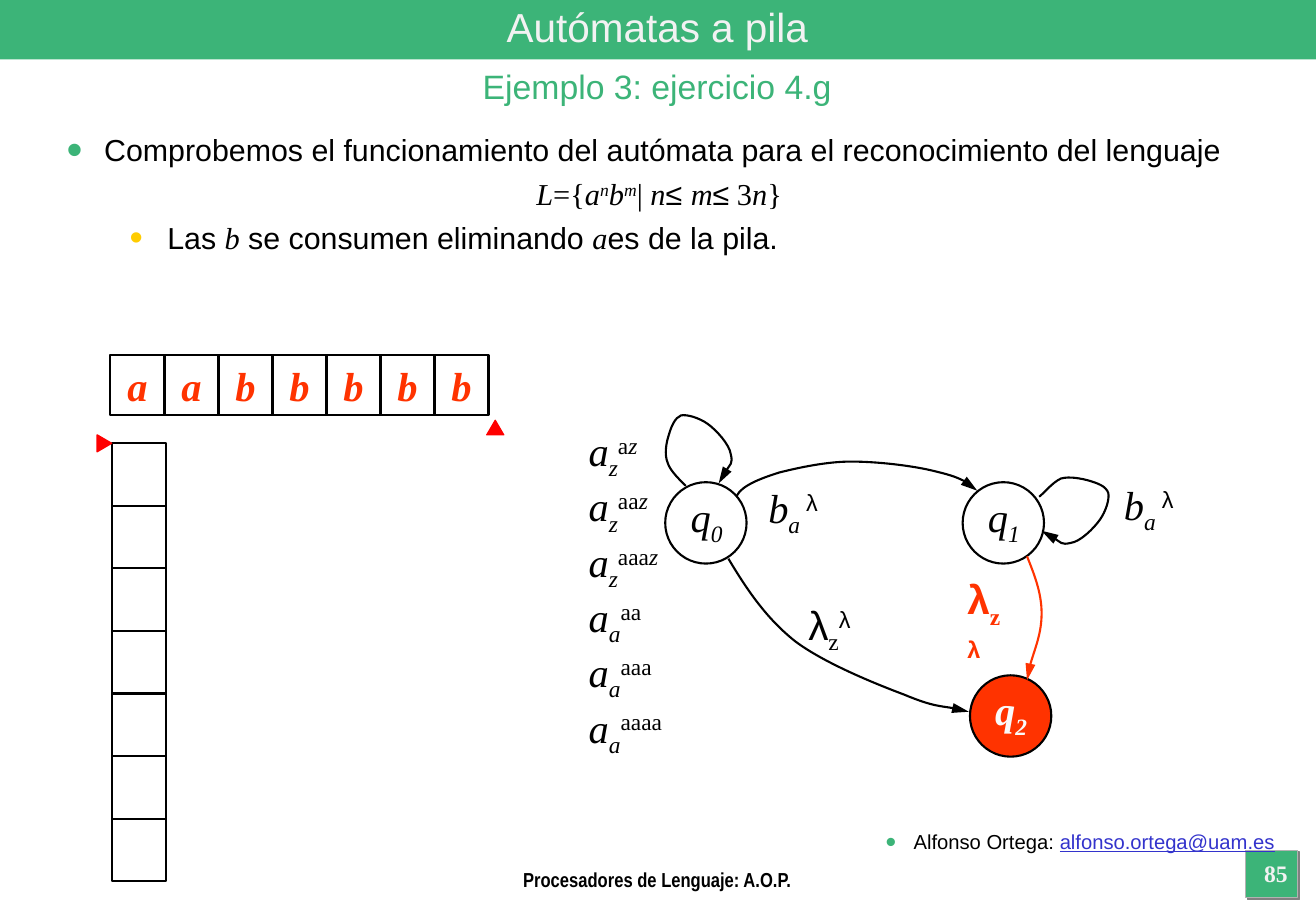
"""Build the pushdown automaton slide that traces a word on a tape and a stack."""
import pptx
import pptx.dml.color
import pptx.enum.shapes
import pptx.enum.text
import pptx.oxml.ns
import pptx.util
from lxml import etree

GREEN, ORANGE, BLACK, WHITE = "3CB478", "FF3300", "000000", "F2F2F2"
GREY, SHADOW, RED, YELLOW, BLUE = "B2B2B2", "808080", "FF0000", "FFCC00", "3333CC"
FONTS = {"A": "Arial", "T": "Times New Roman", "N": "Arial Narrow"}
BASELINES = {"^": "30000", "_": "-25000"}
SHAPES = pptx.enum.shapes.MSO_SHAPE
ALIGN = pptx.enum.text.PP_ALIGN
ANCHOR = pptx.enum.text.MSO_ANCHOR
AUTO = pptx.enum.text.MSO_AUTO_SIZE

TITLE = [("Autómatas a pila", "A")]
SUBTITLE = [("Ejemplo 3: ejercicio 4.g", "A")]
BODY = [
    [("Comprobemos el funcionamiento del autómata para el reconocimiento del lenguaje", "A")],
    [("L", "Ti"), ("={", "T"), ("a", "Ti"), ("n", "Ti^"), ("b", "Ti"), ("m", "Ti^"),
     ("| ", "T"), ("n", "Ti"), ("≤ ", "A"), ("m", "Ti"), ("≤", "A"), (" 3", "T"),
     ("n", "Ti"), ("}", "T")],
    [("Las ", "A"), ("b", "Ti"), (" se consumen eliminando ", "A"), ("a", "Ti"),
     ("es de la pila.", "A")],
]
AUTHOR = [("Alfonso Ortega: ", "A"), ("alfonso.ortega@uam.es", "Au")]
FOOTER = [("Procesadores de Lenguaje: A.O.P.", "Nb")]
PAGE_NUMBER = [("85", "Tb")]
TAPE = "aabbbbb"
STACK_SIZE = 7
PUSHES = [("z", "a", "z"), ("z", "aa", "z"), ("z", "aaa", "z"),
          ("a", "aa", ""), ("a", "aaa", ""), ("a", "aaaa", "")]
POP_A = [("b", "Ti"), ("a ", "Ti_"), ("λ", "A^")]
POP_Z = [("λ", "A"), ("z", "T_"), ("λ", "A^")]
ACTIVE_POP_Z = [(text, style + "b") for text, style in POP_Z]
STATES = [("0", 5.48, 3.97, None, BLACK, "Ti"),
          ("1", 7.93, 3.97, None, BLACK, "Ti"),
          ("2", 7.99, 5.56, ORANGE, "FAFAFA", "Tib")]
TRANSITIONS = [
    (BLACK, [(6.07, 4.08), (6.11, 4), (6.26, 3.94), (6.42, 3.89), (6.58, 3.85), (6.81, 3.8),
             (7.01, 3.8), (7.22, 3.8), (7.48, 3.83), (7.66, 3.87), (7.83, 3.91),
             (7.99, 3.96), (8.05, 4.04)]),
    (BLACK, [(5.65, 4), (5.62, 3.97), (5.52, 3.88), (5.5, 3.81), (5.47, 3.74), (5.49, 3.64),
             (5.51, 3.58), (5.53, 3.51), (5.56, 3.44), (5.61, 3.42), (5.66, 3.41),
             (5.76, 3.44), (5.83, 3.49), (5.9, 3.54), (6.01, 3.66), (6.02, 3.74),
             (6.04, 3.82), (5.94, 3.93), (5.92, 3.98)]),
    (ORANGE, [(8.46, 4.58), (8.52, 4.73), (8.58, 4.88), (8.58, 5.05), (8.58, 5.22),
              (8.46, 5.51), (8.46, 5.6)]),
    (BLACK, [(8.56, 4.09), (8.59, 4.07), (8.67, 3.97), (8.74, 3.94), (8.81, 3.92),
             (8.91, 3.94), (8.98, 3.96), (9.04, 3.98), (9.11, 4), (9.13, 4.06),
             (9.14, 4.11), (9.11, 4.21), (9.06, 4.28), (9.01, 4.35), (8.9, 4.46),
             (8.82, 4.47), (8.74, 4.49), (8.63, 4.39), (8.58, 4.37)]),
    (BLACK, [(6, 4.6), (6.15, 4.85), (6.31, 5.09), (6.55, 5.28), (6.79, 5.46), (7.21, 5.63),
             (7.45, 5.72), (7.69, 5.82), (7.9, 5.83), (7.98, 5.86)]),
]


def length(inches):
    return pptx.util.Cm(inches * 2.54)


def color(value):
    return pptx.dml.color.RGBColor.from_string(value)


def child(parent, tag, **attributes):
    return etree.SubElement(parent, pptx.oxml.ns.qn("a:" + tag), **attributes)


def write(para, spans, size, ink, align=ALIGN.LEFT):
    para.alignment = align
    for text, style in spans:
        span = para.add_run()
        span.text = text
        span.font.size = pptx.util.Pt(size)
        span.font.name = FONTS[style[0]]
        span.font.bold = "b" in style
        span.font.italic = "i" in style
        span.font.underline = "u" in style
        span.font.color.rgb = color(BLUE if "u" in style else ink)
        for mark, baseline in BASELINES.items():
            if mark in style:
                span.font._element.set("baseline", baseline)


def add_bullet(para, ink, percent, margin, hanging):
    settings = para._p.get_or_add_pPr()
    settings.set("marL", str(length(margin)))
    settings.set("indent", str(-length(hanging)))
    child(child(settings, "buClr"), "srgbClr", val=ink)
    child(settings, "buSzPct", val=str(percent * 1000))
    child(settings, "buFont", typeface="Arial")
    child(settings, "buChar", char="•")


def add_text(page, at, paragraphs, size, ink, align=ALIGN.LEFT, wrap=True):
    box = page.shapes.add_textbox(*map(length, at))
    frame = box.text_frame
    frame.word_wrap = wrap
    frame.auto_size = AUTO.NONE if wrap else AUTO.SHAPE_TO_FIT_TEXT
    for index, spans in enumerate(paragraphs):
        para = frame.add_paragraph() if index else frame.paragraphs[0]
        write(para, spans, size, ink, align)
    return box


def outline(shape, fill, line, width):
    shape.shadow.inherit = False
    if fill:
        shape.fill.solid()
        shape.fill.fore_color.rgb = color(fill)
    else:
        shape.fill.background()
    if line:
        shape.line.color.rgb = color(line)
        shape.line.width = pptx.util.Pt(width)
    else:
        shape.line.fill.background()


def add_shape(page, kind, at, fill=None, line=BLACK, width=1.25):
    shape = page.shapes.add_shape(kind, *map(length, at))
    outline(shape, fill, line, width)
    return shape


def add_transition(page, ink, points):
    builder = page.shapes.build_freeform(*map(length, points[0]), scale=1.0)
    builder.add_line_segments([tuple(map(length, point)) for point in points[1:]], close=False)
    curve = builder.convert_to_shape()
    outline(curve, None, ink, 1.25)
    route = next(curve._element.iter(pptx.oxml.ns.qn("a:path")))
    segments = route.findall(pptx.oxml.ns.qn("a:lnTo"))
    for start in range(0, len(segments), 3):
        bend = child(route, "cubicBezTo")
        for segment in segments[start:start + 3]:
            bend.append(segment[0])
            route.remove(segment)
    child(curve.line._get_or_add_ln(), "tailEnd", type="triangle", w="med", len="lg")


def add_frame(page):
    corner = add_shape(page, SHAPES.RECTANGLE, (10.26, 7, 0.43, 0.39), GREEN, GREY, 0.75)
    effects = corner._element.spPr.find(pptx.oxml.ns.qn("a:effectLst"))
    shadow = child(effects, "outerShdw", dist=str(pptx.util.Pt(1.4)), dir="2700000")
    child(shadow, "srgbClr", val=SHADOW)
    band = add_shape(page, SHAPES.RECTANGLE, (0, 0, 10.85, 0.49), GREEN, None)
    title = page.shapes.title
    band._element.addnext(title._element)
    title.left, title.top, title.width, title.height = map(length, (0, 0, 10.83, 0.44))
    title.text_frame.vertical_anchor = ANCHOR.MIDDLE
    title.text_frame.auto_size = AUTO.NONE
    write(title.text_frame.paragraphs[0], TITLE, 24, WHITE, ALIGN.CENTER)
    add_text(page, (0, 0.49, 10.83, 0.44), [SUBTITLE], 20, GREEN, ALIGN.CENTER)
    author = add_text(page, (3.02, 6.78, 7.58, 0.44), [AUTHOR], 12, BLACK, ALIGN.RIGHT)
    add_bullet(author.text_frame.paragraphs[0], GREEN, 150, 0.23, 0.23)
    add_text(page, (3.01, 7.09, 4.81, 0.18), [FOOTER], 12, BLACK, ALIGN.CENTER)
    add_text(page, (10.24, 7.02, 0.54, 0.35), [PAGE_NUMBER], 14, WHITE, ALIGN.CENTER)


def add_body(page):
    body = add_text(page, (0.45, 1.03, 9.96, 1.3), BODY, 18, BLACK)
    claim, language, detail = body.text_frame.paragraphs
    language.alignment = ALIGN.CENTER
    for para in (language, detail):
        para.space_before = pptx.util.Pt(4.5)
    add_bullet(claim, GREEN, 150, 0.31, 0.31)
    add_bullet(detail, YELLOW, 125, 0.83, 0.31)


def add_tape_and_stack(page):
    for index, letter in enumerate(TAPE):
        cell = add_shape(page, SHAPES.RECTANGLE, (0.91 + 0.445 * index, 2.92, 0.445, 0.5))
        write(cell.text_frame.paragraphs[0], [(letter, "Tib")], 24, ORANGE, ALIGN.CENTER)
    for index in range(STACK_SIZE):
        add_shape(page, SHAPES.RECTANGLE, (0.92, 3.65 + 0.515 * index, 0.445, 0.515))
    for left, top, turn in ((4.01, 3.46, 0), (0.79, 3.59, 90)):
        pointer = add_shape(page, SHAPES.ISOSCELES_TRIANGLE, (left, top, 0.14, 0.12), RED, RED, 0.75)
        pointer.rotation = turn


def add_automaton(page):
    for name, left, top, fill, ink, style in STATES:
        add_shape(page, SHAPES.OVAL, (left, top, 0.67, 0.67), fill)
        add_text(page, (left + 0.11, top + 0.03, 0.46, 0.56),
                 [[("q", style), (name, style + "_")]], 24, ink, ALIGN.CENTER, False)
    for ink, points in TRANSITIONS:
        add_transition(page, ink, points)
    pushes = [[("a", "Ti"), (top, "Ti_"), (pushed, "T^")] + ([(rest, "Ti^")] if rest else [])
              for top, pushed, rest in PUSHES]
    add_text(page, (4.75, 3.46, 0.95, 2.83), pushes, 24, BLACK)
    for left, top in ((6.23, 3.93), (9.16, 3.9)):
        add_text(page, (left, top, 0.62, 0.56), [POP_A], 24, BLACK, wrap=False)
    add_text(page, (6.56, 4.89, 0.57, 0.56), [POP_Z], 24, BLACK, wrap=False)
    add_text(page, (7.87, 4.68, 0.57, 0.56), [ACTIVE_POP_Z], 24, ORANGE)


def main():
    deck = pptx.Presentation()
    deck.slide_width, deck.slide_height = length(10.84), length(7.5)
    page = deck.slides.add_slide(deck.slide_layouts[5])
    add_frame(page)
    add_body(page)
    add_tape_and_stack(page)
    add_automaton(page)
    deck.save("out.pptx")


if __name__ == "__main__":
    main()
